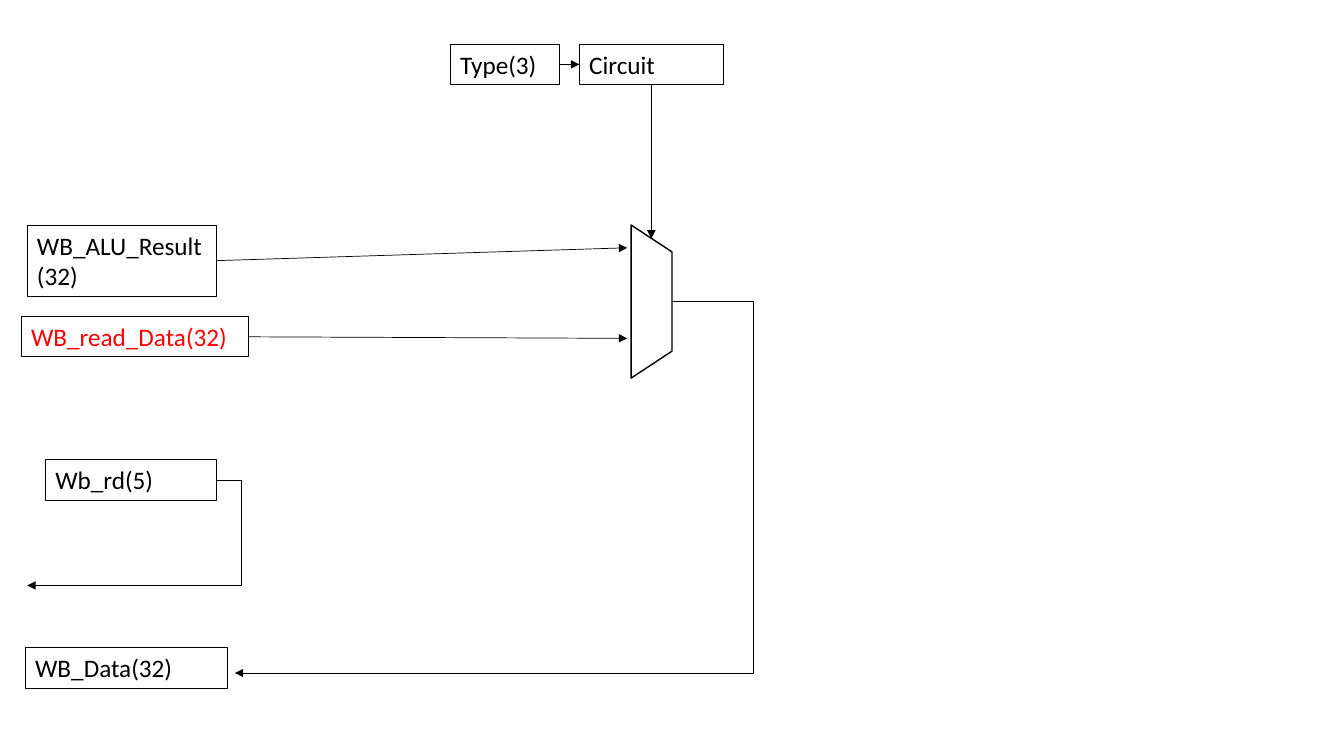
from lxml.etree import SubElement
from pptx import Presentation
from pptx.dml.color import RGBColor
from pptx.enum.shapes import MSO_CONNECTOR, MSO_SHAPE
from pptx.enum.text import MSO_ANCHOR, MSO_AUTO_SIZE, PP_ALIGN
from pptx.oxml.ns import qn
from pptx.util import Pt

BLACK, WHITE, RED = "000000", "FFFFFF", "FF0000"
LINE_HEIGHT, PADDING = 21.8, 7.2

SIGNALS = [
    ("WB_ALU_Result(32)", 19.3, 160.8, 135.3, 2, BLACK),
    ("WB_read_Data(32)", 15.1, 226, 162.2, 1, RED),
    ("WB_Data(32)", 18, 462.7, 144.7, 1, BLACK),
    ("Type(3)", 321.6, 31.5, 78, 1, BLACK),
    ("Circuit", 413.8, 31.5, 103, 1, BLACK),
    ("Wb_rd(5)", 32.4, 328.2, 122.2, 1, BLACK),
]
MULTIPLEXER = (410.7, 200.8, 109.4, 29.2)
ARROWS = [
    ((154.6, 186.2), (448, 177)),
    ((177.3, 240.6), (448, 241.7)),
    ((465.3, 60.5), (465.3, 170.4)),
    ((399.6, 46), (413.8, 46)),
]
ELBOWS = [
    ((480, 215.3), (167.8, 480.7), 538.1),
    ((154.6, 342.8), (19.5, 418.2), 172.4),
]


def color(value):
    return RGBColor.from_string(value)


def add_outlined(kind, left, top, width, height, weight):
    shape = page.shapes.add_shape(kind, Pt(left), Pt(top), Pt(width), Pt(height))
    shape.shadow.inherit = False
    shape.fill.solid()
    shape.fill.fore_color.rgb = color(WHITE)
    shape.line.color.rgb = color(BLACK)
    shape.line.width = Pt(weight)
    return shape


def add_signal(text, left, top, width, lines, text_color):
    height = lines * LINE_HEIGHT + PADDING
    box = add_outlined(MSO_SHAPE.RECTANGLE, left, top, width, height, 0.75)
    frame = box.text_frame
    frame.word_wrap = True
    frame.auto_size = MSO_AUTO_SIZE.SHAPE_TO_FIT_TEXT
    frame.vertical_anchor = MSO_ANCHOR.TOP
    para = frame.paragraphs[0]
    para.alignment = PP_ALIGN.LEFT
    span = para.add_run()
    span.text = text
    span.font.name = "Calibri"
    span.font.size = Pt(18)
    span.font.color.rgb = color(text_color)


def add_arrow(start, end, bend=None):
    kind = MSO_CONNECTOR.STRAIGHT if bend is None else MSO_CONNECTOR.ELBOW
    arrow = page.shapes.add_connector(kind, *map(Pt, start + end))
    arrow.line.color.rgb = color(BLACK)
    arrow.line.width = Pt(0.5)
    properties = arrow.element.spPr
    SubElement(arrow.line._get_or_add_ln(), qn("a:tailEnd"), type="triangle")
    SubElement(properties, qn("a:effectLst"))
    if bend is not None:
        share = (bend - start[0]) / (end[0] - start[0])
        guides = properties.find(qn("a:prstGeom")).get_or_add_avLst()
        SubElement(guides, qn("a:gd"), name="adj1", fmla=f"val {round(share * 100000)}")


deck = Presentation()
deck.slide_width, deck.slide_height = Pt(960), Pt(540)
page = deck.slides.add_slide(deck.slide_layouts[6])

multiplexer = add_outlined(MSO_SHAPE.TRAPEZOID, *MULTIPLEXER, 1)
multiplexer.rotation = 90
multiplexer.adjustments[0] = 0.66
for signal in SIGNALS:
    add_signal(*signal)
for arrow_ends in ARROWS + ELBOWS:
    add_arrow(*arrow_ends)

deck.save("out.pptx")
